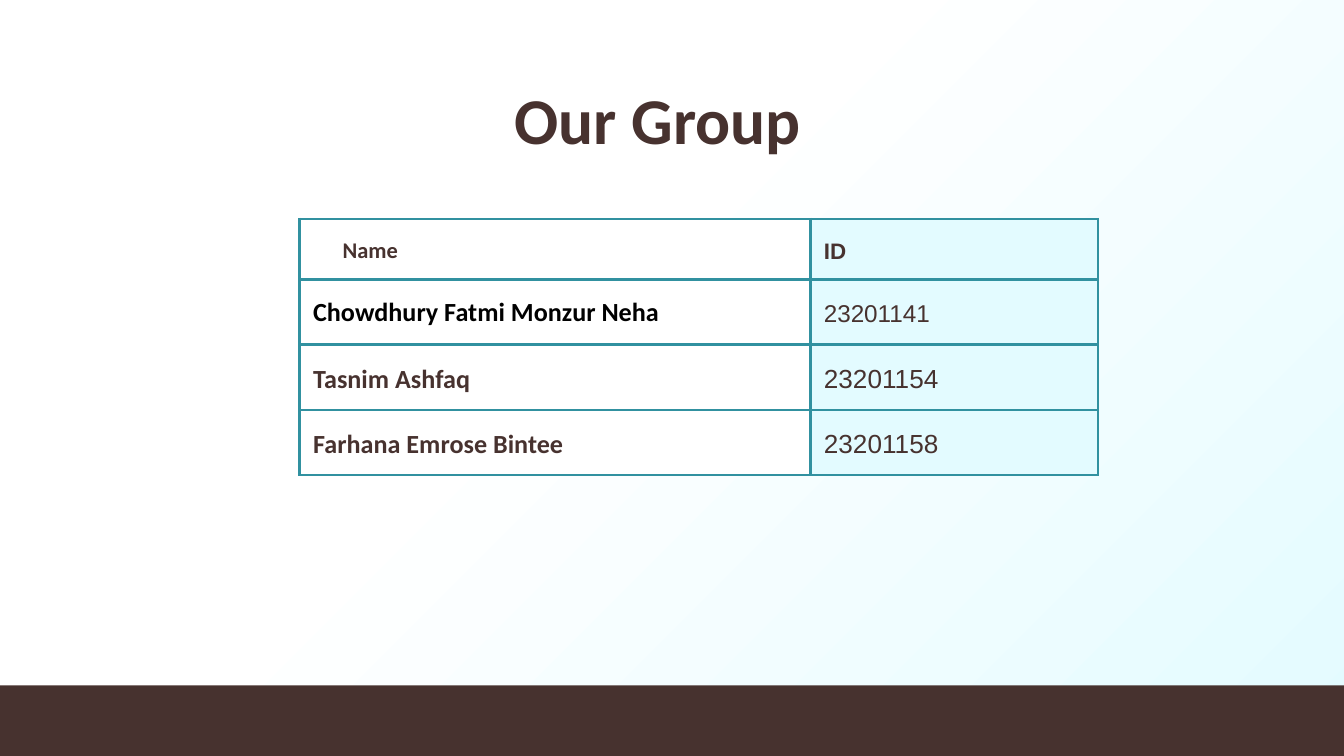
"""Build the group slide: a title, a table of members and a footer band."""
from lxml import etree
from pptx import Presentation, util as u
from pptx.dml.color import RGBColor
from pptx.enum import shapes, text
from pptx.oxml.ns import qn

BROWN = RGBColor(0x47, 0x32, 0x2F)
TEAL = RGBColor(0x31, 0x91, 0xA0)
ICE = RGBColor(0xE3, 0xFB, 0xFF)
WHITE = RGBColor(0xFF, 0xFF, 0xFF)
BLACK = RGBColor(0x00, 0x00, 0x00)

MEMBERS = [
    (("Name", dict(size=12, indent=0.22)), ("ID", dict(size=12, bold=True))),
    (("Chowdhury Fatmi Monzur Neha", dict(color=BLACK, spacing=1.0)),
     ("23201141", dict(size=13))),
    (("Tasnim Ashfaq", {}), ("23201154", {})),
    (("Farhana Emrose Bintee", {}), ("23201158", {})),
]
COLUMN_STYLES = [
    (WHITE, dict(font="Calibri", bold=True)),
    (ICE, dict(font="Arial", bold=False, after=16)),
]


def write(frame, words, font="Calibri", size=14, color=BROWN, bold=True,
          align=text.PP_ALIGN.LEFT, spacing=1.15, after=0, indent=0):
    """Put formatted words into the first paragraph of a text frame."""
    paragraph = frame.paragraphs[0]
    paragraph.alignment = align
    paragraph.line_spacing = spacing
    paragraph.space_after = u.Pt(after)
    if indent:
        properties = paragraph._p.get_or_add_pPr()
        properties.set("marL", str(u.Inches(indent)))
        properties.set("indent", "0")
    run = paragraph.add_run()
    run.text = words
    run.font.name, run.font.size, run.font.bold = font, u.Pt(size), bold
    run.font.color.rgb = color


class GroupSlide:
    """Hold the slide, its style and a grid of tenth-inch units."""

    UNIT = u.Inches(0.1)
    COLUMNS, ROWS = 100, 56.25

    def __init__(self, deck):
        """Add a title-only slide of the grid's size."""
        deck.slide_width = self.grid(self.COLUMNS)
        deck.slide_height = self.grid(self.ROWS)
        self.slide = deck.slides.add_slide(deck.slide_layouts[5])

    def grid(self, units):
        """Convert grid units to a length."""
        return u.Emu(round(units * self.UNIT))

    def background(self, start, end):
        """Fill the slide with a diagonal gradient."""
        fill = self.slide.background.fill
        fill.gradient()
        fill.gradient_angle = 315
        for stop, color, position in zip(fill.gradient_stops, (start, end), (0.41, 1)):
            stop.color.rgb, stop.position = color, position

    def footer(self, top, color):
        """Draw a full-width band from a row to the bottom edge."""
        band = self.slide.shapes.add_shape(
            shapes.MSO_SHAPE.RECTANGLE, 0, self.grid(top),
            self.grid(self.COLUMNS), self.grid(self.ROWS - top))
        band.shadow.inherit = False
        band.fill.solid()
        band.fill.fore_color.rgb = color
        band.line.fill.background()

    def title(self, words, left, top, width, height):
        """Place and format the title placeholder."""
        heading = self.slide.shapes.title
        heading.left, heading.top, heading.width, heading.height = map(
            self.grid, (left, top, width, height))
        frame = heading.text_frame
        frame.auto_size = text.MSO_AUTO_SIZE.NONE
        frame.vertical_anchor = text.MSO_ANCHOR.TOP
        frame.margin_left = frame.margin_right = self.UNIT
        frame.margin_top = frame.margin_bottom = self.UNIT
        write(frame, words, size=35, align=text.PP_ALIGN.CENTER, spacing=1.0)

    def border(self, cell, color, width):
        """Outline all four sides of a cell."""
        properties = cell._tc.get_or_add_tcPr()
        for index, side in enumerate(("a:lnL", "a:lnR", "a:lnT", "a:lnB")):
            line = etree.Element(qn(side), w=str(u.Pt(width)))
            fill = etree.SubElement(line, qn("a:solidFill"))
            etree.SubElement(fill, qn("a:srgbClr"), val=str(color))
            properties.insert(index, line)

    def table(self, records, left, top, widths, heights):
        """Add the bordered table with one style per column."""
        members = self.slide.shapes.add_table(
            len(heights), len(widths), self.grid(left), self.grid(top),
            self.grid(sum(widths)), self.grid(sum(heights))).table
        members.first_row = members.horz_banding = False
        for column, width in zip(members.columns, widths):
            column.width = self.grid(width)
        for row, height, record in zip(members.rows, heights, records):
            row.height = self.grid(height)
            for cell, (words, extra), (fill, style) in zip(row.cells, record, COLUMN_STYLES):
                cell.fill.solid()
                cell.fill.fore_color.rgb = fill
                cell.vertical_anchor = text.MSO_ANCHOR.MIDDLE
                cell.margin_left = cell.margin_right = self.UNIT
                cell.margin_top = cell.margin_bottom = self.UNIT
                self.border(cell, TEAL, 1.5)
                write(cell.text_frame, words, **{**style, **extra})


def main():
    """Compose and save the slide."""
    deck = Presentation()
    group = GroupSlide(deck)
    group.background(WHITE, ICE)
    group.footer(51, BROWN)
    group.title("Our Group", 34.1, 4.9, 29.7, 7.5)
    group.table(MEMBERS, 22.3, 16.3, (38, 21.4), (4.5, 4.85, 4.85, 4.85))
    deck.save("out.pptx")


if __name__ == "__main__":
    main()
